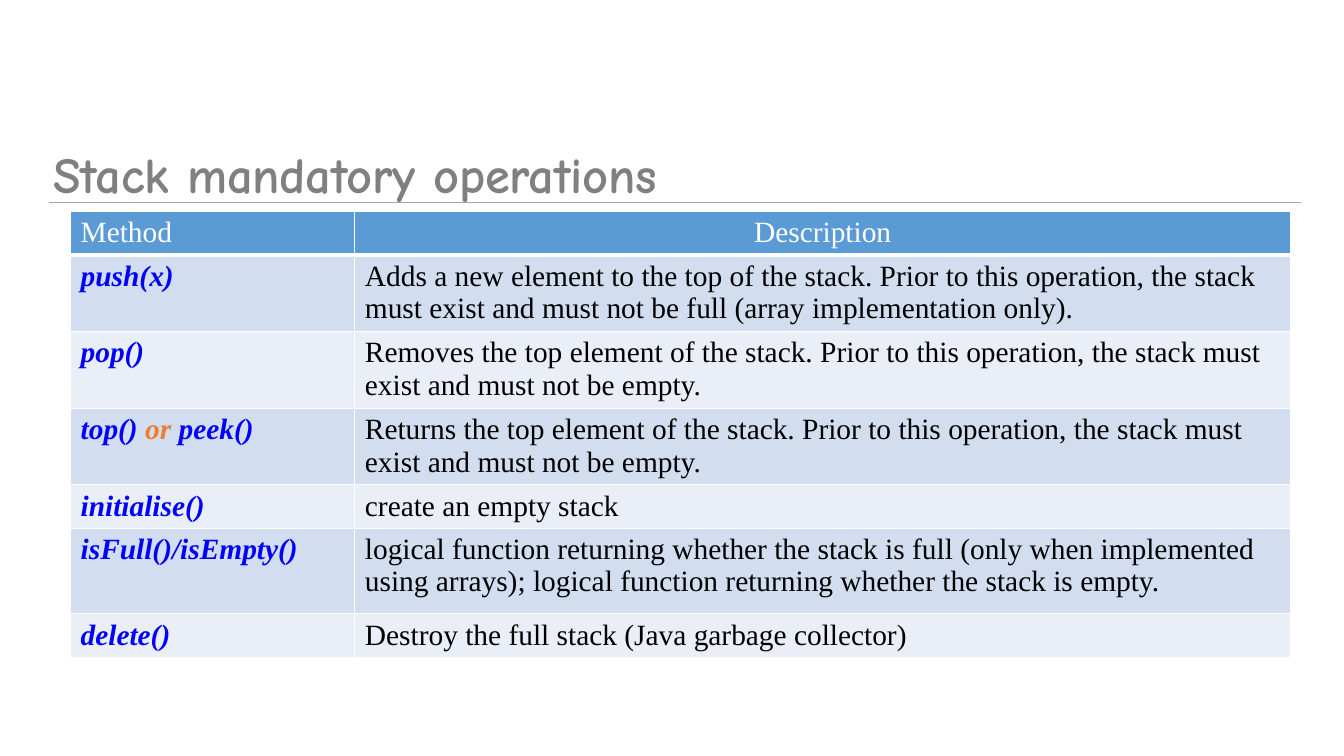
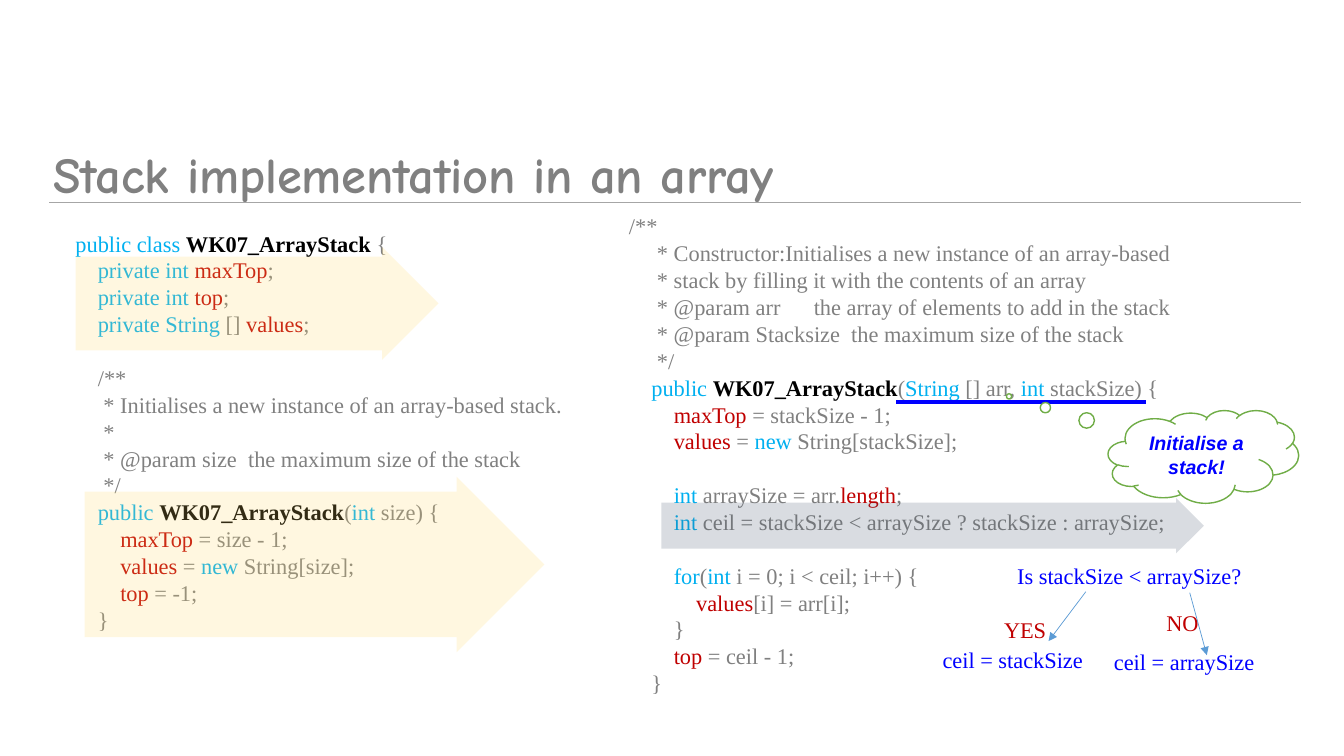
from lxml import etree
from pptx import Presentation
from pptx.dml.color import RGBColor
from pptx.enum.shapes import MSO_CONNECTOR, MSO_SHAPE
from pptx.enum.text import MSO_ANCHOR, PP_ALIGN
from pptx.oxml.ns import qn
from pptx.util import Inches, Pt

STRAIGHT = MSO_CONNECTOR.STRAIGHT
RIGHT_ARROW = MSO_SHAPE.RIGHT_ARROW
CLOUD = MSO_SHAPE.CLOUD_CALLOUT
MIDDLE = MSO_ANCHOR.MIDDLE
LEFT, CENTER = PP_ALIGN.LEFT, PP_ALIGN.CENTER
TITLE_ONLY = 5

WHITE = RGBColor(0xFF, 0xFF, 0xFF)
BLACK = RGBColor(0, 0, 0)
GREY = RGBColor(0x80, 0x80, 0x80)
RULE_GREY = RGBColor(0xA6, 0xA6, 0xA6)
BLUE = RGBColor(0, 0, 0xFF)
STEEL = RGBColor(0x5B, 0x9B, 0xD5)
BAND_DARK = RGBColor(0xD2, 0xDE, 0xEF)
BAND_LIGHT = RGBColor(0xEA, 0xEF, 0xF7)
ORANGE = RGBColor(0xED, 0x7D, 0x31)
SKY = RGBColor(0, 0xB0, 0xF0)
RED = RGBColor(0xC0, 0, 0)
GOLD = RGBColor(0xFF, 0xD9, 0x66)
SLATE = RGBColor(0x44, 0x54, 0x6A)
GREEN = RGBColor(0x70, 0xAD, 0x47)

TITLE_FONT, BODY_FONT, CALLOUT_FONT = "Comic Neue", "Times New Roman", "Arial"
CODE_SIZE = 16
SPACE_WIDTH = CODE_SIZE / 4
LINE_PITCH = 19.2

OPERATIONS = [
    ("push(x)", "Adds a new element to the top of the stack. Prior to this operation, "
     "the stack must exist and must not be full (array implementation only).", 0.76),
    ("pop()", "Removes the top element of the stack. Prior to this operation, "
     "the stack must exist and must not be empty.", 0.76),
    ("top() |or| peek()", "Returns the top element of the stack. Prior to this operation, "
     "the stack must exist and must not be empty.", 0.76),
    ("initialise()", "create an empty stack", 0.43),
    ("isFull()/isEmpty()", "logical function returning whether the stack is full (only when "
     "implemented using arrays); logical function returning whether the stack is empty.", 0.85),
    ("delete()", "Destroy the full stack (Java garbage collector)", 0.43),
]


def keyword(text):
    return text, SKY, False


def field(text):
    return text, RED, False


def class_name(text):
    return text, BLACK, True


def plain(text):
    return text, GREY, False


# Each code line: indent in spaces, blank lines above, runs.
CLASS_CODE = [
    (0, 0, [keyword("public class "), class_name("WK07_ArrayStack "), plain("{")]),
    (4, 0, [keyword("private int "), field("maxTop"), plain(";")]),
    (4, 0, [keyword("private int "), field("top"), plain(";")]),
    (4, 0, [keyword("private String "), plain("[] "), field("values"), plain(";")]),
    (4, 1, [plain("/**")]),
    (5, 0, [plain("* Initialises a new instance of an array-based stack.")]),
    (5, 0, [plain("*")]),
    (5, 0, [plain("* @param size  the maximum size of the stack")]),
    (5, 0, [plain("*/")]),
    (4, 0, [keyword("public "), class_name("WK07_ArrayStack"), plain("("),
            keyword("int"), plain(" size) {")]),
    (8, 0, [field("maxTop"), plain(" = size - 1;")]),
    (8, 0, [field("values"), plain(" = "), keyword("new"), plain(" String[size];")]),
    (8, 0, [field("top"), plain(" = -1;")]),
    (4, 0, [plain("}")]),
]
CONSTRUCTOR_CODE = [
    (0, 0, [plain("/**")]),
    (5, 0, [plain("* Constructor:Initialises a new instance of an array-based")]),
    (5, 0, [plain("* stack by filling it with the contents of an array")]),
    (5, 0, [plain("* @param arr\t the array of elements to add in the stack")]),
    (5, 0, [plain("* @param Stacksize  the maximum size of the stack")]),
    (5, 0, [plain("*/")]),
    (4, 0, [keyword("public "), class_name("WK07_ArrayStack"), plain("("), keyword("String"),
            plain(" [] arr, "), keyword("int "), plain("stackSize) {")]),
    (8, 0, [field("maxTop"), plain(" = stackSize - 1;")]),
    (8, 0, [field("values"), plain(" = "), keyword("new"), plain(" String[stackSize];")]),
    (8, 1, [keyword("int "), plain("arraySize = arr."), field("length"), plain(";")]),
    (8, 0, [keyword("int"), plain(" ceil = stackSize < arraySize ? stackSize : arraySize;")]),
    (8, 1, [keyword("for"), plain("("), keyword("int "), plain("i = 0; i < ceil; i++) {")]),
    (12, 0, [field("values"), plain("[i] = arr[i];")]),
    (8, 0, [plain("}")]),
    (8, 0, [field("top"), plain(" = ceil - 1;")]),
    (4, 0, [plain("}")]),
]


def inches(*lengths):
    return [Inches(length) for length in lengths]


def add_run(paragraph, text, size, color, bold=False, italic=False, font=BODY_FONT):
    run = paragraph.add_run()
    run.text = text
    run.font.name, run.font.size = font, Pt(size)
    run.font.bold, run.font.italic = bold, italic
    run.font.color.rgb = color
    return run


def add_line(slide, start, end, color, width, arrow=False):
    line = slide.shapes.add_connector(STRAIGHT, *inches(*start, *end))
    line.line.color.rgb = color
    line.line.width = Pt(width)
    properties = line._element.spPr
    if arrow:
        etree.SubElement(properties.find(qn("a:ln")), qn("a:tailEnd"), type="triangle")
    etree.SubElement(properties, qn("a:effectLst"))


def add_titled_slide(prs, heading):
    slide = prs.slides.add_slide(prs.slide_layouts[TITLE_ONLY])
    title = slide.shapes.title
    title.left, title.top, title.width, title.height = inches(0.43, 1.4, 12.64, 0.72)
    title.text_frame.vertical_anchor = MIDDLE
    paragraph = title.text_frame.paragraphs[0]
    paragraph.alignment = LEFT
    paragraph.line_spacing = 0.9
    run = add_run(paragraph, heading, 36, GREY, bold=True, font=TITLE_FONT)
    run.font._element.set("spc", "-10")
    add_line(slide, (0.49, 2.01), (12.9, 2.01), RULE_GREY, 1.25)
    return slide


def set_borders(cell, bottom_width):
    properties = cell._tc.get_or_add_tcPr()
    widths = {"lnL": 1, "lnR": 1, "lnT": 1, "lnB": bottom_width}
    for position, (side, width) in enumerate(widths.items()):
        border = etree.Element(qn("a:" + side), w=str(Pt(width)))
        fill = etree.SubElement(border, qn("a:solidFill"))
        etree.SubElement(fill, qn("a:srgbClr"), val=str(WHITE))
        properties.insert(position, border)


def fill_cell(cell, runs, color, alignment=LEFT, bottom_width=1):
    cell.fill.solid()
    cell.fill.fore_color.rgb = color
    set_borders(cell, bottom_width)
    paragraph = cell.text_frame.paragraphs[0]
    paragraph.alignment = alignment
    for text, text_color, emphasis in runs:
        add_run(paragraph, text, 21, text_color, emphasis, emphasis)


def add_operations_table(slide):
    heights = [0.43] + [height for _, _, height in OPERATIONS]
    frame = slide.shapes.add_table(len(heights), 2, *inches(0.7, 2.1, 12.1, sum(heights)))
    table = frame.table
    for column, width in zip(table.columns, (2.82, 9.28)):
        column.width = Inches(width)
    for row, height in zip(table.rows, heights):
        row.height = Inches(height)
    fill_cell(table.cell(0, 0), [("Method", WHITE, False)], STEEL, bottom_width=3)
    fill_cell(table.cell(0, 1), [("Description", WHITE, False)], STEEL, CENTER, 3)
    for row, (method, description, _) in enumerate(OPERATIONS, 1):
        band = BAND_DARK if row % 2 else BAND_LIGHT
        names = [(part, ORANGE if part == "or" else BLUE, True) for part in method.split("|")]
        fill_cell(table.cell(row, 0), names, band)
        fill_cell(table.cell(row, 1), [(description, BLACK, False)], band)


def add_text_frame(slide, box):
    frame = slide.shapes.add_textbox(*inches(*box)).text_frame
    frame.word_wrap = True
    return frame


def add_code(slide, box, lines):
    frame = add_text_frame(slide, box)
    for number, (indent, blank_lines, runs) in enumerate(lines):
        paragraph = frame.add_paragraph() if number else frame.paragraphs[0]
        paragraph.line_spacing = Pt(LINE_PITCH)
        paragraph.space_before = Pt(blank_lines * LINE_PITCH)
        properties = paragraph._p.get_or_add_pPr()
        properties.set("marL", str(Pt(indent * SPACE_WIDTH)))
        properties.set("indent", "0")
        for text, color, bold in runs:
            add_run(paragraph, text, CODE_SIZE, color, bold)


def add_label(slide, box, text, color):
    add_run(add_text_frame(slide, box).paragraphs[0], text, CODE_SIZE, color)


def add_highlight(slide, box, color):
    """Lay a translucent arrow over a stretch of code."""
    arrow = slide.shapes.add_shape(RIGHT_ARROW, *inches(*box))
    arrow.adjustments[0], arrow.adjustments[1] = 0.83, 0.5
    arrow.shadow.inherit = False
    arrow.line.fill.background()
    arrow.fill.solid()
    arrow.fill.fore_color.rgb = color
    tint = arrow._element.spPr.find(qn("a:solidFill")).find(qn("a:srgbClr"))
    etree.SubElement(tint, qn("a:alpha"), val="20000")


def add_thought(slide, box, text):
    cloud = slide.shapes.add_shape(CLOUD, *inches(*box))
    cloud.adjustments[0], cloud.adjustments[1] = -1.02, -0.65
    cloud.shadow.inherit = False
    cloud.fill.solid()
    cloud.fill.fore_color.rgb = WHITE
    cloud.line.color.rgb = GREEN
    cloud.line.width = Pt(1)
    cloud.text_frame.vertical_anchor = MIDDLE
    paragraph = cloud.text_frame.paragraphs[0]
    paragraph.alignment = CENTER
    add_run(paragraph, text, 14, BLUE, True, True, CALLOUT_FONT)


def add_ceil_decision(slide):
    add_label(slide, (9.99, 5.53, 2.62, 0.37), "Is stackSize < arraySize?", BLUE)
    add_label(slide, (10.95, 6.38, 1.77, 0.37), "ceil = arraySize", BLUE)
    add_label(slide, (11.47, 5.99, 0.73, 0.37), "NO", RED)
    add_label(slide, (9.25, 6.36, 1.77, 0.37), "ceil = stackSize", BLUE)
    add_label(slide, (9.86, 6.06, 0.73, 0.37), "YES", RED)
    add_line(slide, (10.77, 5.87), (10.4, 6.36), STEEL, 0.5, arrow=True)
    add_line(slide, (11.8, 5.88), (11.97, 6.5), STEEL, 0.5, arrow=True)


def main():
    prs = Presentation()
    prs.slide_width, prs.slide_height = inches(13.33, 7.5)

    add_operations_table(add_titled_slide(prs, "Stack mandatory operations"))

    slide = add_titled_slide(prs, "Stack implementation in an array")
    add_code(slide, (0.65, 2.23, 5.59, 4.14), CLASS_CODE)
    add_code(slide, (6.14, 2.06, 6.67, 4.95), CONSTRUCTOR_CODE)
    add_highlight(slide, (0.75, 2.45, 3.6, 1.12), GOLD)
    add_highlight(slide, (0.84, 4.73, 4.56, 1.74), GOLD)
    add_highlight(slide, (6.56, 4.94, 5.38, 0.55), SLATE)
    add_ceil_decision(slide)
    add_line(slide, (8.89, 3.99), (11.37, 3.99), BLUE, 2.75)
    add_thought(slide, (10.99, 4.07, 1.89, 0.92), "Initialise a stack!")
    prs.save("out.pptx")


if __name__ == "__main__":
    main()
